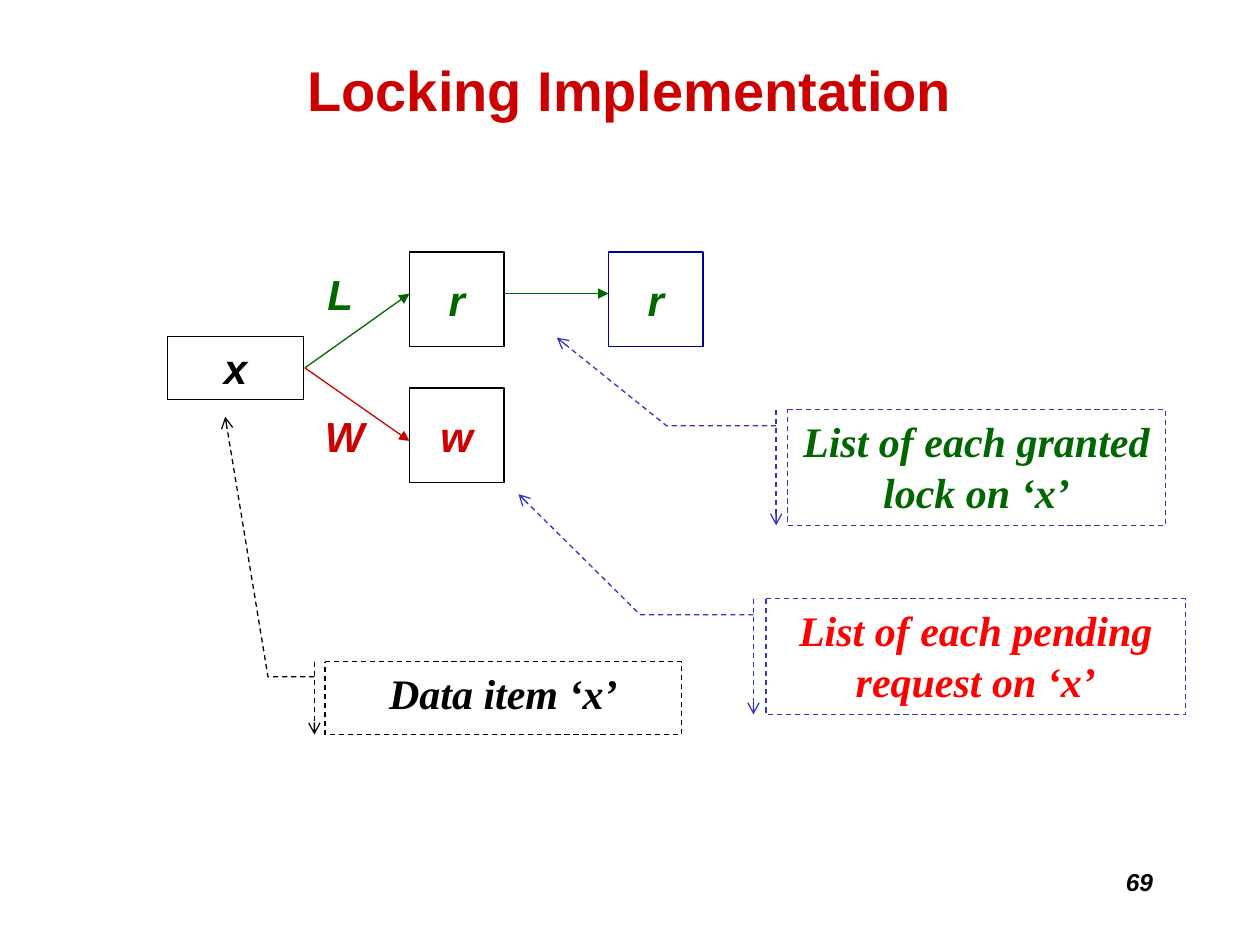
from lxml.etree import SubElement
from pptx import Presentation
from pptx.dml.color import RGBColor
from pptx.enum.dml import MSO_LINE
from pptx.enum.shapes import MSO_CONNECTOR, MSO_SHAPE
from pptx.enum.text import MSO_ANCHOR, PP_ALIGN
from pptx.oxml.ns import qn
from pptx.util import Inches, Pt

BLACK = RGBColor(0x00, 0x00, 0x00)
WHITE = RGBColor(0xFF, 0xFF, 0xFF)
GREEN = RGBColor(0x00, 0x66, 0x00)
CRIMSON = RGBColor(0xCC, 0x00, 0x00)
RED = RGBColor(0xFF, 0x00, 0x00)
NAVY = RGBColor(0x00, 0x00, 0x99)
BLUE = RGBColor(0x33, 0x33, 0xCC)


class LockDiagram:
    """Holds the style and the slide being drawn."""

    sans = "Arial"
    serif = "Times New Roman"
    size = 24
    line_width = Pt(0.75)

    def __init__(self, slide):
        self.slide = slide

    def set_text(self, shape, text, color, font=sans, size=size, italic=True,
                 align=PP_ALIGN.CENTER, anchor=MSO_ANCHOR.MIDDLE, wrap=False):
        frame = shape.text_frame
        frame.word_wrap = wrap
        frame.vertical_anchor = anchor
        paragraph = frame.paragraphs[0]
        paragraph.text = text
        paragraph.alignment = align
        paragraph.font.name = font
        paragraph.font.size = Pt(size)
        paragraph.font.bold = True
        paragraph.font.italic = italic
        paragraph.font.color.rgb = color

    def style_line(self, shape, color, dash=None, arrow=None):
        line = shape.line
        line.color.rgb = color
        line.width = self.line_width
        if dash:
            line.dash_style = dash
        if arrow:
            SubElement(line._get_or_add_ln(), qn("a:tailEnd"), type=arrow)

    def label(self, left, top, width, height, text, color, **style):
        box = self.slide.shapes.add_textbox(
            Inches(left), Inches(top), Inches(width), Inches(height))
        self.set_text(box, text, color, **style)

    def node(self, left, top, width, height, text, color, border=BLACK):
        box = self.slide.shapes.add_shape(
            MSO_SHAPE.RECTANGLE,
            Inches(left), Inches(top), Inches(width), Inches(height))
        box.shadow.inherit = False
        box.fill.solid()
        box.fill.fore_color.rgb = WHITE
        self.style_line(box, border)
        self.set_text(box, text, color)

    def arrow(self, start, end, color):
        connector = self.slide.shapes.add_connector(
            MSO_CONNECTOR.STRAIGHT, *map(Inches, start + end))
        self.style_line(connector, color, arrow="triangle")
        SubElement(connector._element.spPr, qn("a:effectLst"))

    def callout(self, left, top, width, height, text, color, border, bar, elbow, tip):
        """Points are (down, across), as fractions of the callout's size."""
        shape = self.slide.shapes.add_shape(
            MSO_SHAPE.LINE_CALLOUT_2_BORDER_AND_ACCENT_BAR,
            Inches(left), Inches(top), Inches(width), Inches(height))
        for index, value in enumerate(bar + elbow + tip):
            shape.adjustments[index] = value
        shape.shadow.inherit = False
        shape.fill.background()
        self.style_line(shape, border, MSO_LINE.DASH, "arrow")
        self.set_text(shape, text, color, font=self.serif,
                      anchor=MSO_ANCHOR.TOP, wrap=True)


def main():
    presentation = Presentation()
    presentation.slide_width = Inches(10)
    presentation.slide_height = Inches(7.5)
    slide = presentation.slides.add_slide(presentation.slide_layouts[6])
    diagram = LockDiagram(slide)

    # Page number and title
    diagram.label(7.17, 6.83, 2.08, 0.5, "69", BLACK, size=14,
                  align=PP_ALIGN.RIGHT, anchor=MSO_ANCHOR.TOP, wrap=True)
    diagram.label(0.75, 0.25, 8.5, 0.92, "Locking Implementation", CRIMSON,
                  size=32, italic=False, wrap=True)

    # Data item and its lock nodes
    side = 0.75
    first, second = 3.25, 4.83
    granted_top, waiting_top = 2, 3.08
    diagram.node(1.33, 2.67, 1.08, 0.5, "x", BLACK)
    diagram.node(first, granted_top, side, side, "r", GREEN)
    diagram.node(second, granted_top, side, side, "r", GREEN, NAVY)
    diagram.node(first, waiting_top, side, side, "w", CRIMSON)

    # Links between the nodes
    item_edge = (2.42, 2.92)
    diagram.arrow(item_edge, (first, 2.33), GREEN)
    diagram.arrow((first + side, 2.33), (second, 2.33), GREEN)
    diagram.arrow(item_edge, (first, 3.5), CRIMSON)

    # Link names
    top_left = dict(align=PP_ALIGN.LEFT, anchor=MSO_ANCHOR.TOP)
    diagram.label(2.5, 2.08, 0.4, 0.5, "L", GREEN, **top_left)
    diagram.label(2.48, 3.21, 0.52, 0.5, "W", CRIMSON, **top_left)

    # Explanations
    diagram.callout(2.58, 5.25, 2.83, 0.58, "Data item ‘x’", BLACK, BLACK,
                    (0.21, -0.03), (0.21, -0.16), (-3.35, -0.28))
    diagram.callout(6.25, 3.25, 3, 0.92, "List of each granted lock on ‘x’",
                    GREEN, BLUE, (0.14, -0.03), (0.14, -0.32), (-0.62, -0.61))
    diagram.callout(6.08, 4.75, 3.33, 0.92, "List of each pending request on ‘x’",
                    RED, BLUE, (0.14, -0.03), (0.14, -0.3), (-0.9, -0.59))

    presentation.save("out.pptx")


if __name__ == "__main__":
    main()
